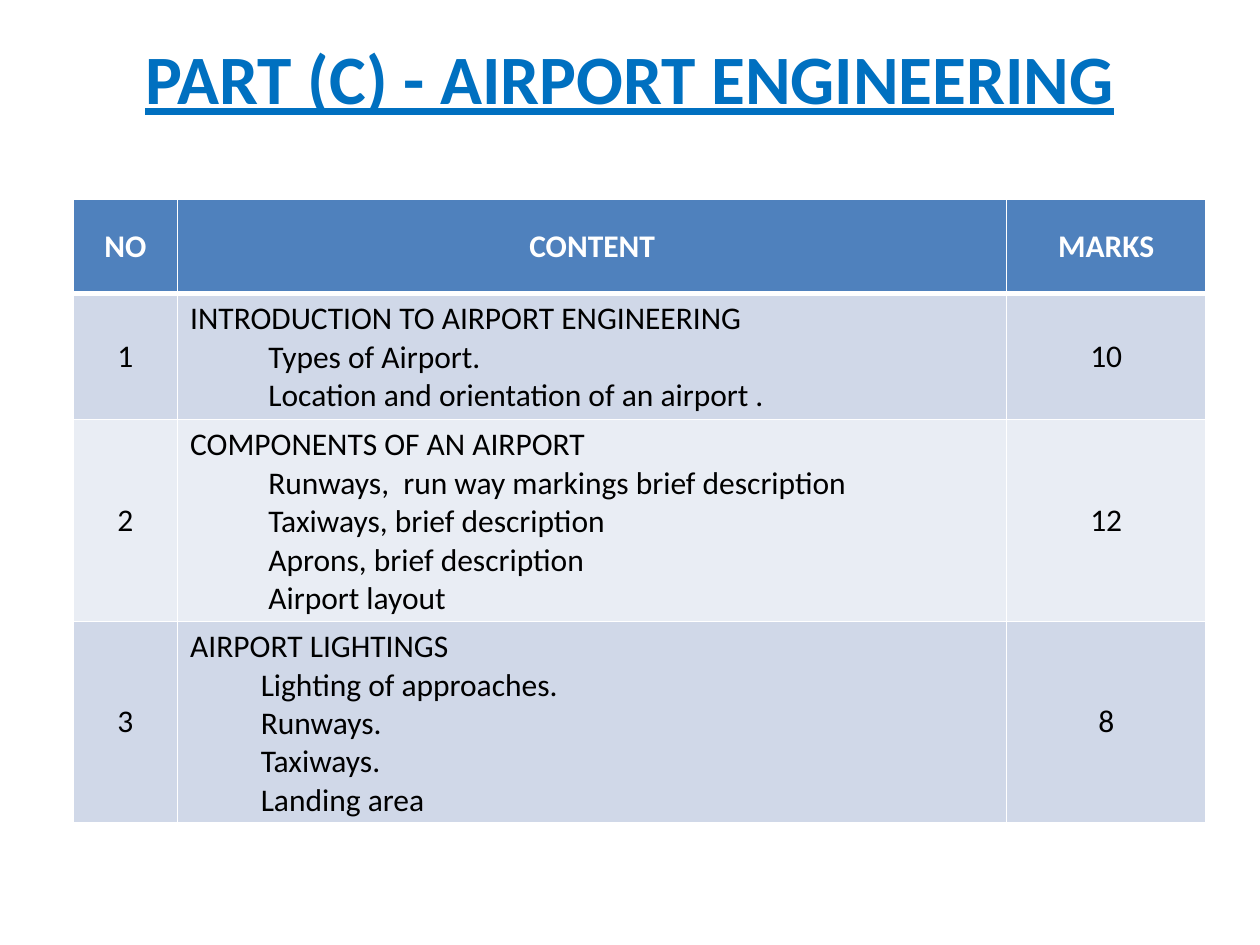
from dataclasses import dataclass

from lxml.etree import SubElement
from pptx import Presentation
from pptx.dml.color import RGBColor
from pptx.enum.text import MSO_ANCHOR as Anchor, PP_ALIGN as Align
from pptx.oxml.ns import qn
from pptx.util import Inches, Pt


@dataclass(frozen=True)
class Theme:
    font: str = "Calibri"
    title_size: float = 39.6
    table_size: float = 18
    title: str = "0070C0"
    header: str = "4F81BD"
    bands: tuple = ("D0D8E8", "E9EDF4")
    white: str = "FFFFFF"
    black: str = "000000"
    border: float = 1
    header_rule: float = 3


THEME = Theme()
COLUMN_WIDTHS = (0.83, 6.58, 1.58)
HEADER_HEIGHT = 0.75
HEADERS = ("NO", "CONTENT", "MARKS")

# heading, topic indent in inches, topics, marks
UNITS = (
    ("INTRODUCTION TO AIRPORT ENGINEERING", 0.62,
     ("Types of Airport.", "Location and orientation of an airport ."), 10),
    ("COMPONENTS OF AN AIRPORT", 0.62,
     ("Runways,  run way markings brief description",
      "Taxiways, brief description", "Aprons, brief description",
      "Airport layout"), 12),
    ("AIRPORT LIGHTINGS", 0.56,
     ("Lighting of approaches.", "Runways.", "Taxiways.", "Landing area"), 8),
)


def add_run(p, text, size, color, bold=False, underline=False):
    r = p.add_run()
    r.text = text
    font = r.font
    font.name, font.size = THEME.font, Pt(size)
    font.bold, font.underline = bold, underline
    font.color.rgb = RGBColor.from_string(color)


def add_title(slide, text):
    sp = slide.shapes.add_textbox(Inches(0.5), Inches(0.3), Inches(9), Inches(0.62))
    tf = sp.text_frame
    tf.word_wrap = True
    tf.vertical_anchor = Anchor.MIDDLE
    p = tf.paragraphs[0]
    p.alignment = Align.CENTER
    add_run(p, text, THEME.title_size, THEME.title, bold=True, underline=True)


def set_borders(cell, top, bottom):
    """Draw white borders; top and bottom widths are in points."""
    widths = {"L": THEME.border, "R": THEME.border, "T": top, "B": bottom}
    tc_pr = cell._tc.get_or_add_tcPr()
    for side, width in widths.items():
        ln = SubElement(tc_pr, qn(f"a:ln{side}"), w=str(Pt(width)))
        fill = SubElement(ln, qn("a:solidFill"))
        SubElement(fill, qn("a:srgbClr"), val=THEME.white)


def fill_cell(cell, lines, row, align, indent=0):
    """Style a cell and write its lines, indenting all but the first."""
    is_header = row == 0
    set_borders(cell,
                top=THEME.header_rule if row == 1 else THEME.border,
                bottom=THEME.header_rule if is_header else THEME.border)
    cell.fill.solid()
    fill = THEME.header if is_header else THEME.bands[(row - 1) % 2]
    cell.fill.fore_color.rgb = RGBColor.from_string(fill)
    cell.vertical_anchor = Anchor.MIDDLE
    tf = cell.text_frame
    for i, line in enumerate(lines):
        p = tf.add_paragraph() if i else tf.paragraphs[0]
        p.alignment = align
        if i and indent:
            p._p.get_or_add_pPr().set("marL", str(Inches(indent)))
        add_run(p, line, THEME.table_size,
                THEME.white if is_header else THEME.black, bold=is_header)


def add_syllabus_table(slide):
    table = slide.shapes.add_table(
        len(UNITS) + 1, len(HEADERS), Inches(0.58), Inches(1.58),
        Inches(sum(COLUMN_WIDTHS)), Inches(HEADER_HEIGHT * (len(UNITS) + 1))).table
    for column, width in zip(table.columns, COLUMN_WIDTHS):
        column.width = Inches(width)
    table.rows[0].height = Inches(HEADER_HEIGHT)
    for col, text in enumerate(HEADERS):
        fill_cell(table.cell(0, col), [text], 0, Align.CENTER)
    for row, (heading, indent, topics, marks) in enumerate(UNITS, 1):
        lines = [heading, *topics]
        table.rows[row].height = Inches(0.1 + 0.3 * len(lines))
        fill_cell(table.cell(row, 0), [str(row)], row, Align.CENTER)
        fill_cell(table.cell(row, 1), lines, row, Align.LEFT, indent)
        fill_cell(table.cell(row, 2), [str(marks)], row, Align.CENTER)


def main():
    prs = Presentation()
    prs.slide_width, prs.slide_height = Inches(10), Inches(7.5)
    slide = prs.slides.add_slide(prs.slide_layouts[6])
    add_title(slide, "PART (C) - AIRPORT ENGINEERING")
    add_syllabus_table(slide)
    prs.save("out.pptx")


if __name__ == "__main__":
    main()
